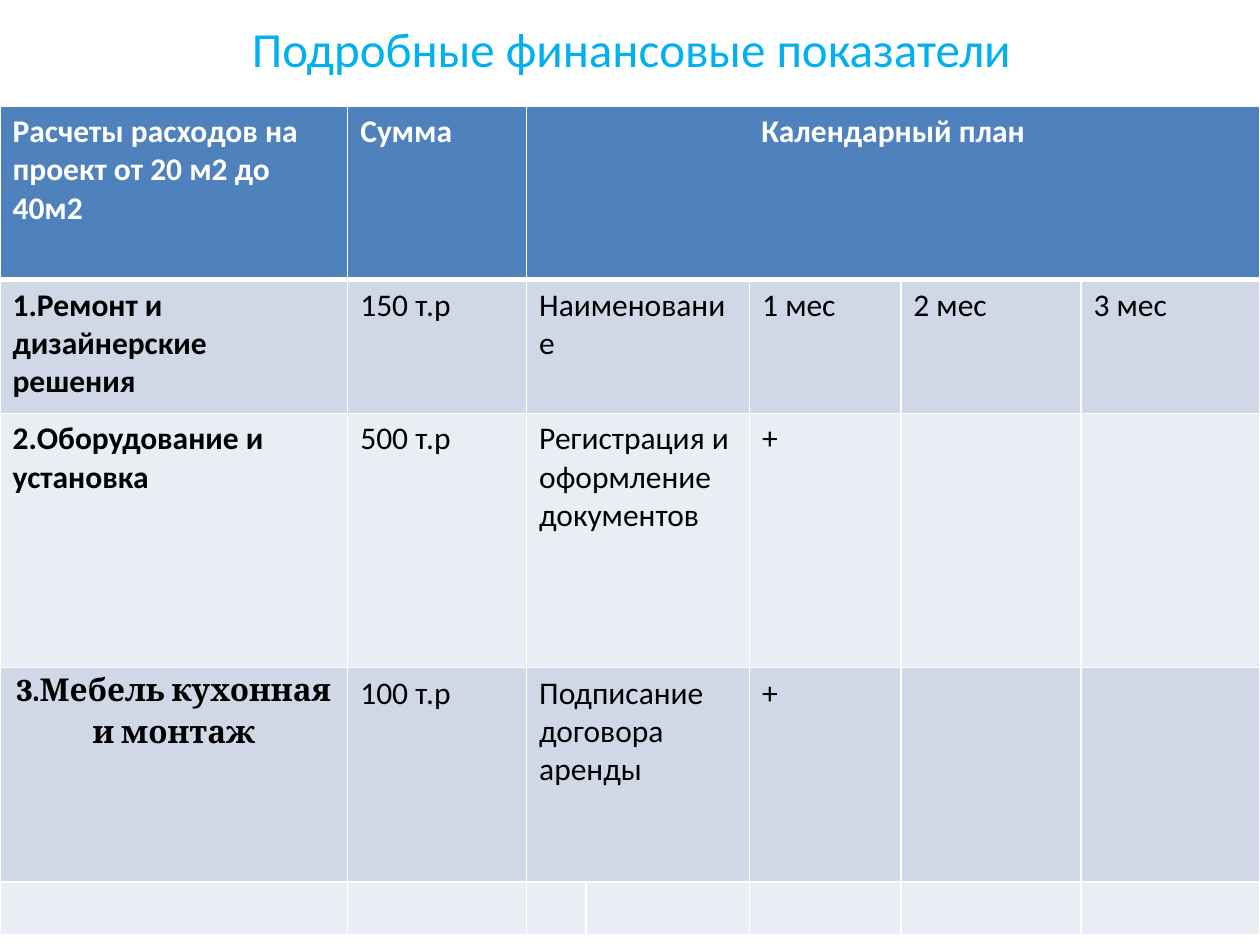
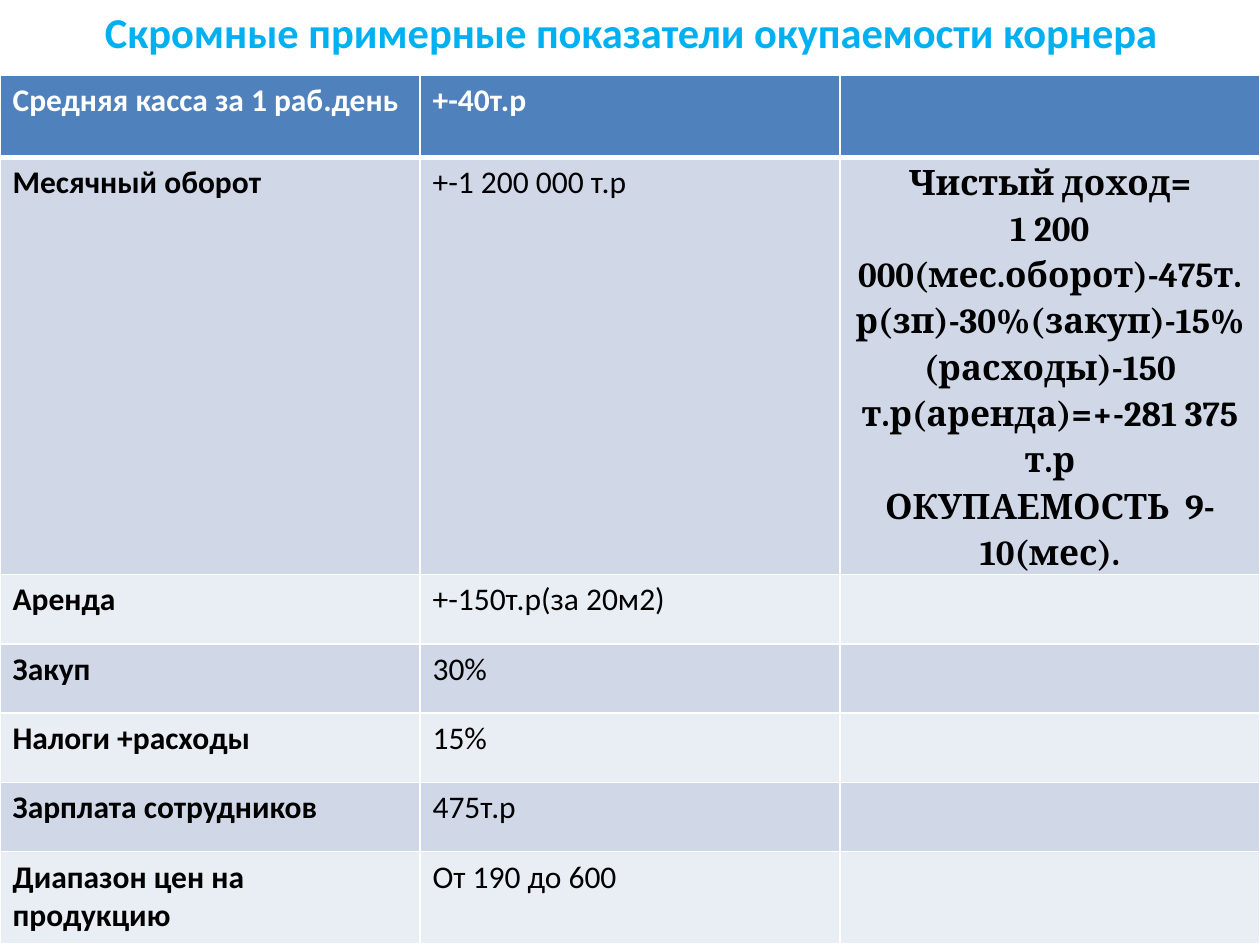
import pptx
import pptx.util
import pptx.dml.color
import pptx.enum.text
import pptx.oxml
import pptx.oxml.ns

COLORS = {"title": "00B0F0", "header": "4F81BD", "odd": "D0D8E8",
          "even": "E9EDF4", "light": "FFFFFF", "dark": "000000"}
CENTER = pptx.enum.text.PP_ALIGN.CENTER
MIDDLE = pptx.enum.text.MSO_ANCHOR.MIDDLE

deck = pptx.Presentation()
deck.slide_width = pptx.util.Inches(10)
deck.slide_height = pptx.util.Inches(7.5)
title_only = deck.slide_layouts[5]


def write(paragraph, text, size, color, bold=False, font="Calibri"):
    run = paragraph.add_run()
    run.text = text
    run.font.size = pptx.util.Pt(size)
    run.font.name = font
    run.font.bold = bold
    run.font.color.rgb = pptx.dml.color.RGBColor.from_string(COLORS[color])


def outline(cell, bottom_width):
    properties = cell._tc.get_or_add_tcPr()
    sides = (("lnL", 1), ("lnR", 1), ("lnT", 1), ("lnB", bottom_width))
    for position, (side, width) in enumerate(sides):
        properties.insert(position, pptx.oxml.parse_xml(
            f'<a:{side} {pptx.oxml.ns.nsdecls("a")} w="{pptx.util.Pt(width)}">'
            f'<a:solidFill><a:srgbClr val="{COLORS["light"]}"/></a:solidFill></a:{side}>'))


pages = [
    {
        "title": "Подробные финансовые показатели",
        "title_size": 28, "title_bold": False, "title_height": 0.76,
        "top": 0.84,
        "columns": [2.76, 1.42, 0.47, 1.3, 1.2, 1.43, 1.42],
        "rows": [1.38, 1.06, 2.02, 1.7, 0.42],
        "spans": [(0, 2, 6), (1, 2, 3), (2, 2, 3), (3, 2, 3)],
        "cells": [
            ["Расчеты расходов на проект от 20 м2 до 40м2", "Сумма", "Календарный план"],
            ["1.Ремонт и дизайнерские решения", "150 т.р", "Наименование", "",
             "1 мес", "2 мес", "3 мес"],
            ["2.Оборудование и установка", "500 т.р",
             "Регистрация и оформление документов", "", "+"],
            ["3.Мебель кухонная и монтаж", "100 т.р", "Подписание договора аренды", "", "+"],
        ],
        "centered": (0, 2), "serif": (3, 0), "serif_size": 18,
    },
    {
        "title": "Скромные примерные показатели окупаемости корнера",
        "title_size": 24.3, "title_bold": True, "title_height": 0.5,
        "top": 0.6,
        "columns": [10 / 3] * 3,
        "rows": [0.65, 3.31] + [0.55] * 4 + [0.73],
        "spans": [],
        "cells": [
            ["Средняя касса за 1 раб.день", "+-40т.р"],
            ["Месячный оборот", "+-1 200 000 т.р",
             "Чистый доход=\n"
             "1 200 000(мес.оборот)-475т.р(зп)-30%(закуп)-15%(расходы)"
             "-150 т.р(аренда)=+-281 375 т.р\n"
             "ОКУПАЕМОСТЬ  9-10(мес)."],
            ["Аренда", "+-150т.р(за 20м2)"],
            ["Закуп", "30%"],
            ["Налоги +расходы", "15%"],
            ["Зарплата сотрудников", "475т.р"],
            ["Диапазон цен на продукцию", "От 190 до 600"],
        ],
        "centered": None, "serif": (1, 2), "serif_size": 20,
    },
]

for page in pages:
    slide = deck.slides.add_slide(title_only)
    heading = slide.shapes.title
    heading.left, heading.top = pptx.util.Inches(0.51), 0
    heading.width = pptx.util.Inches(9)
    heading.height = pptx.util.Inches(page["title_height"])
    heading.text_frame.vertical_anchor = MIDDLE
    heading_line = heading.text_frame.paragraphs[0]
    heading_line.alignment = CENTER
    write(heading_line, page["title"], page["title_size"], "title", page["title_bold"])

    budget = slide.shapes.add_table(
        len(page["rows"]), len(page["columns"]), 0, pptx.util.Inches(page["top"]),
        deck.slide_width, pptx.util.Inches(sum(page["rows"]))).table
    for column, width in zip(budget.columns, page["columns"]):
        column.width = pptx.util.Inches(width)
    for row, height in zip(budget.rows, page["rows"]):
        row.height = pptx.util.Inches(height)

    for r in range(len(page["rows"])):
        band = "header" if r == 0 else ("even", "odd")[r % 2]
        for c in range(len(page["columns"])):
            cell = budget.cell(r, c)
            cell.fill.solid()
            cell.fill.fore_color.rgb = pptx.dml.color.RGBColor.from_string(COLORS[band])
            outline(cell, 3 if r == 0 else 1)

    for r, first, last in page["spans"]:
        budget.cell(r, first).merge(budget.cell(r, last))

    for r, texts in enumerate(page["cells"]):
        for c, text in enumerate(texts):
            if not text:
                continue
            cell = budget.cell(r, c)
            serif = (r, c) == page["serif"]
            if serif:
                cell.margin_left = cell.margin_right = pptx.util.Inches(0.07)
                cell.margin_top = cell.margin_bottom = 0
            for i, line in enumerate(text.split("\n")):
                frame = cell.text_frame
                paragraph = frame.add_paragraph() if i else frame.paragraphs[0]
                if serif or (r, c) == page["centered"]:
                    paragraph.alignment = CENTER
                if serif:
                    paragraph.line_spacing = 1.15
                write(paragraph, line, page["serif_size"] if serif else 18,
                      "light" if r == 0 else "dark", r == 0 or c == 0 or serif,
                      "Cambria" if serif else "Calibri")

deck.save("out.pptx")
